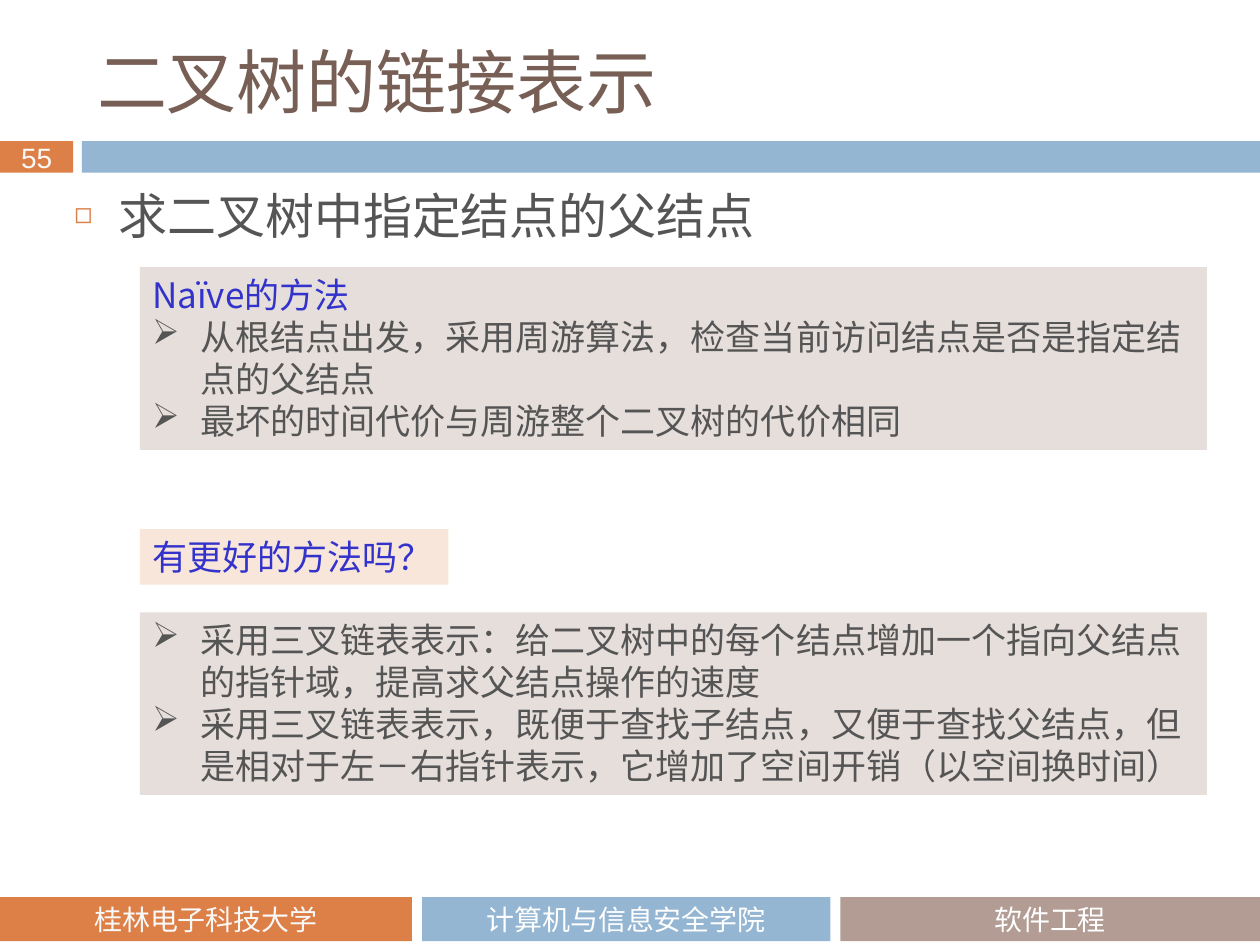
from dataclasses import dataclass

from lxml import etree
from pptx import Presentation
from pptx.dml.color import RGBColor
from pptx.enum.shapes import MSO_SHAPE
from pptx.enum.text import MSO_ANCHOR as ANCHOR, MSO_AUTO_SIZE as AUTO, PP_ALIGN as ALIGN
from pptx.oxml.ns import qn
from pptx.util import Inches, Pt

CJK = "Noto Sans CJK SC"
ORANGE, BLUE, TAUPE = "DD8047", "94B6D2", "B29C93"
GREY, INK, WHITE, OFF_WHITE = "555555", "3333CC", "FFFFFF", "F9F9F9"
PANEL, PEACH = "E6DEDB", "F8E6DA"
PANEL_LEFT, PANEL_WIDTH = 1.11, 8.47


@dataclass
class Bar:
    left: float
    top: float
    width: float
    height: float
    fill: str
    text: str = ""
    color: str = WHITE
    font: str = "Calibri"


@dataclass
class Line:
    text: str
    color: str = GREY
    bullet: str = "➢"


@dataclass
class Panel:
    top: float
    height: float
    lines: list[Line]
    width: float = PANEL_WIDTH
    fill: str = PANEL
    wrap: bool = True


BARS = [
    Bar(0, 1.12, 0.58, 0.25, ORANGE, "55", OFF_WHITE, "Arial"),
    Bar(0.65, 1.12, 9.35, 0.25, BLUE),
    Bar(0, 7.12, 3.27, 0.35, ORANGE, "桂林电子科技大学", OFF_WHITE),
    Bar(3.35, 7.12, 3.24, 0.35, BLUE, "计算机与信息安全学院"),
    Bar(6.67, 7.12, 3.33, 0.35, TAUPE, "软件工程"),
]

PANELS = [
    Panel(2.12, 1.45, [
        Line("Naïve的方法", INK, ""),
        Line("从根结点出发，采用周游算法，检查当前访问结点是否是指定结点的父结点"),
        Line("最坏的时间代价与周游整个二叉树的代价相同"),
    ]),
    Panel(4.86, 1.45, [
        Line("采用三叉链表表示：给二叉树中的每个结点增加一个指向父结点的指针域，提高求父结点操作的速度"),
        Line("采用三叉链表表示，既便于查找子结点，又便于查找父结点，"
             "但是相对于左－右指针表示，它增加了空间开销（以空间换时间）"),
    ]),
    Panel(4.2, 0.44, [Line("有更好的方法吗？", INK, "")],
          width=2.45, fill=PEACH, wrap=False),
]


def rgb(value: str) -> RGBColor:
    return RGBColor.from_string(value)


def add_bullet(p, char: str, indent: float, color: str, percent: int) -> None:
    pPr = p._p.get_or_add_pPr()
    pPr.set("marL", str(Inches(indent)))
    pPr.set("indent", str(-Inches(indent)))
    bu_color = etree.SubElement(pPr, qn("a:buClr"))
    etree.SubElement(bu_color, qn("a:srgbClr"), val=color)
    etree.SubElement(pPr, qn("a:buSzPct"), val=str(percent * 1000))
    etree.SubElement(pPr, qn("a:buChar"), char=char)


def write(p, text: str, *, size: int, color: str, font: str = CJK, align=ALIGN.LEFT,
          spacing=None, bullet: str = "", indent: float = 0.38,
          bullet_color: str = GREY, bullet_size: int = 100) -> None:
    """Fill a paragraph with one formatted run."""
    if bullet:
        add_bullet(p, bullet, indent, bullet_color, bullet_size)
    p.alignment = align
    p.space_before = Pt(0)
    if spacing:
        p.line_spacing = Pt(spacing)
    r = p.add_run()
    r.text = text
    r.font.size = Pt(size)
    r.font.name = font
    r.font.color.rgb = rgb(color)
    etree.SubElement(r._r.get_or_add_rPr(), qn("a:ea"), typeface=font)


def add_rect(slide, left: float, top: float, width: float, height: float, fill: str):
    sp = slide.shapes.add_shape(MSO_SHAPE.RECTANGLE, Inches(left), Inches(top),
                                Inches(width), Inches(height))
    sp.shadow.inherit = False
    sp.fill.solid()
    sp.fill.fore_color.rgb = rgb(fill)
    sp.line.fill.background()
    return sp


def draw_bar(slide, bar: Bar) -> None:
    sp = add_rect(slide, bar.left, bar.top, bar.width, bar.height, bar.fill)
    if bar.text:
        tf = sp.text_frame
        tf.margin_top = tf.margin_bottom = 0
        tf.vertical_anchor = ANCHOR.MIDDLE
        write(tf.paragraphs[0], bar.text, size=16, color=bar.color,
              font=bar.font, align=ALIGN.CENTER)


def draw_panel(slide, panel: Panel) -> None:
    sp = add_rect(slide, PANEL_LEFT, panel.top, panel.width, panel.height, panel.fill)
    tf = sp.text_frame
    tf.word_wrap = panel.wrap
    tf.vertical_anchor = ANCHOR.TOP
    for i, line in enumerate(panel.lines):
        p = tf.add_paragraph() if i else tf.paragraphs[0]
        write(p, line.text, size=20, color=line.color, spacing=24, bullet=line.bullet)


def place(sp, left: float, top: float, width: float, height: float, anchor):
    """Move a placeholder and return its text frame."""
    sp.left, sp.top = Inches(left), Inches(top)
    sp.width, sp.height = Inches(width), Inches(height)
    tf = sp.text_frame
    tf.auto_size = AUTO.NONE
    tf.vertical_anchor = anchor
    return tf


def main() -> None:
    prs = Presentation()
    prs.slide_width, prs.slide_height = Inches(10), Inches(7.5)
    slide = prs.slides.add_slide(prs.slide_layouts[1])

    title = place(slide.shapes.title, 0.67, 0.25, 8.92, 0.78, ANCHOR.MIDDLE)
    write(title.paragraphs[0], "二叉树的链接表示", size=40, color="775F55",
          font="Noto Sans CJK JP")

    body = place(slide.placeholders[1], 0.49, 1.47, 8.92, 0.65, ANCHOR.TOP)
    write(body.paragraphs[0], "求二叉树中指定结点的父结点", size=28, color=GREY,
          spacing=30, bullet="◻", indent=0.35, bullet_color=ORANGE, bullet_size=60)

    for bar in BARS:
        draw_bar(slide, bar)
    for panel in PANELS:
        draw_panel(slide, panel)
    prs.save("out.pptx")


if __name__ == "__main__":
    main()
